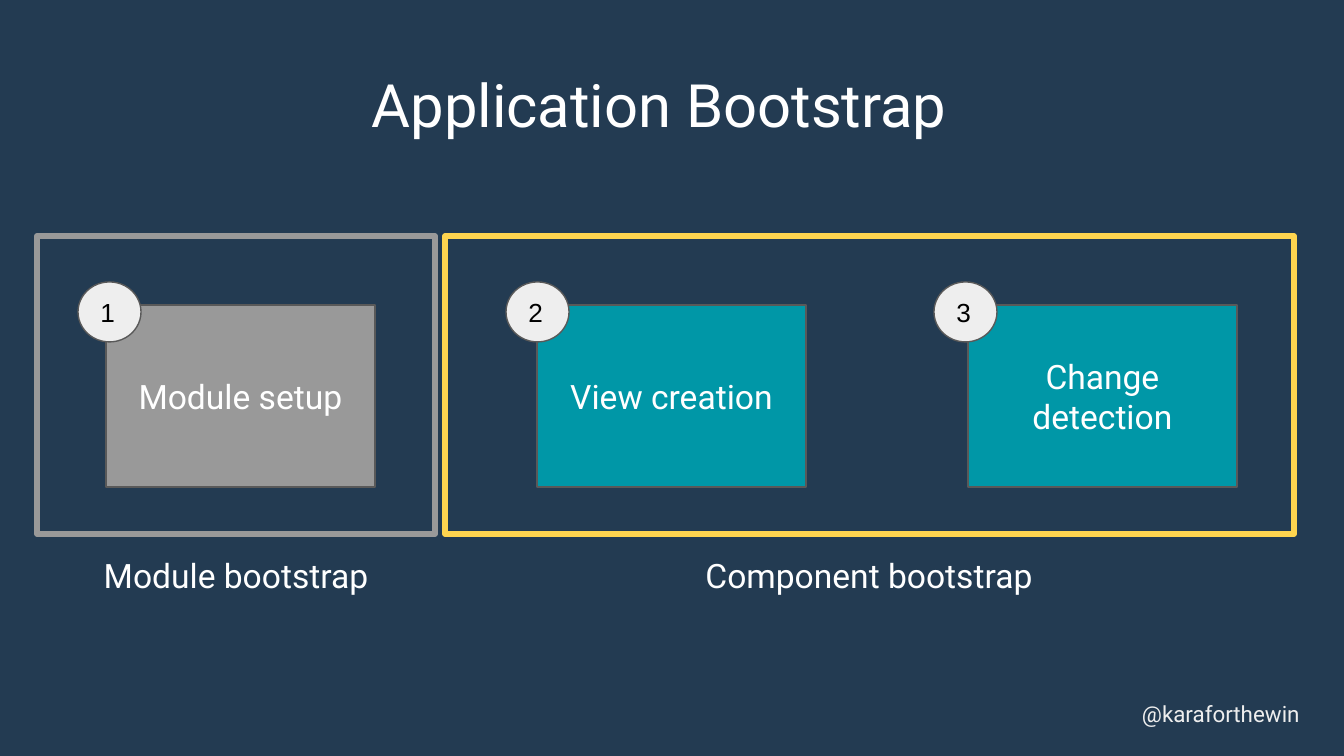
from dataclasses import dataclass

from pptx import Presentation
from pptx import util as u
from pptx.dml.color import RGBColor
from pptx.enum import shapes, text

PX = 914400 / 134.4  # EMU in one px


def px(length):
    return u.Emu(round(length * PX))


@dataclass(frozen=True)
class Theme:
    background: str = "233B52"
    white: str = "FFFFFF"
    black: str = "000000"
    pale: str = "EEEEEE"
    gray: str = "999999"
    outline: str = "595959"
    teal: str = "0097A7"
    yellow: str = "FFD54F"
    font: str = "Roboto"
    number_font: str = "Arial"
    title_size: int = 32
    body_size: int = 18
    number_size: int = 14
    handle_size: int = 12
    frame_width: float = 3
    outline_width: float = 0.75


class SlideBuilder:
    def __init__(self, slide, theme):
        self.slide = slide
        self.theme = theme
        fill = slide.background.fill
        fill.solid()
        fill.fore_color.rgb = RGBColor.from_string(theme.background)

    def add_words(self, shape, words, size, color=None, font=None,
                  align=text.PP_ALIGN.CENTER, anchor=text.MSO_ANCHOR.TOP):
        frame = shape.text_frame
        inset = u.Inches(0.1)
        frame_format = {
            "word_wrap": True, "vertical_anchor": anchor,
            "margin_left": inset, "margin_right": inset,
            "margin_top": inset, "margin_bottom": inset,
        }
        for name, value in frame_format.items():
            setattr(frame, name, value)
        paragraph = frame.paragraphs[0]
        paragraph.alignment = align
        run = paragraph.add_run()
        run.text = words
        for name, value in {"name": font or self.theme.font, "size": u.Pt(size)}.items():
            setattr(run.font, name, value)
        run.font.color.rgb = RGBColor.from_string(color or self.theme.white)

    def shape(self, kind, box, line, width, fill=None):
        shape = self.slide.shapes.add_shape(kind, *map(px, box))
        shape.shadow.inherit = False
        if fill:
            shape.fill.solid()
            shape.fill.fore_color.rgb = RGBColor.from_string(fill)
        else:
            shape.fill.background()
        shape.line.color.rgb = RGBColor.from_string(line)
        shape.line.width = u.Pt(width)
        return shape

    def frame(self, box, color):
        self.shape(shapes.MSO_SHAPE.RECTANGLE, box, color, self.theme.frame_width)

    def step(self, box, words, fill):
        theme = self.theme
        shape = self.shape(shapes.MSO_SHAPE.RECTANGLE, box, theme.outline,
                           theme.outline_width, fill)
        self.add_words(shape, words, theme.body_size, anchor=text.MSO_ANCHOR.MIDDLE)

    def badge(self, box, number):
        theme = self.theme
        shape = self.shape(shapes.MSO_SHAPE.FLOWCHART_CONNECTOR, box, theme.outline,
                           theme.outline_width, theme.pale)
        self.add_words(shape, str(number), theme.number_size, theme.black,
                       theme.number_font, text.PP_ALIGN.LEFT, text.MSO_ANCHOR.MIDDLE)

    def label(self, box, words, size, **style):
        self.add_words(self.slide.shapes.add_textbox(*map(px, box)), words, size, **style)


def main():
    theme = Theme()
    presentation = Presentation()
    presentation.slide_width, presentation.slide_height = px(1344), px(756)
    builder = SlideBuilder(presentation.slides.add_slide(presentation.slide_layouts[6]), theme)

    # Handle in the footer
    builder.label((1025, 687, 288, 42), "@karaforthewin", theme.handle_size,
                  color=theme.pale, align=text.PP_ALIGN.RIGHT)

    # Frames around the two phases
    builder.frame((445, 236, 849, 298), theme.yellow)
    builder.frame((37, 236, 398, 298), theme.gray)

    # Steps, then their numbers on top
    steps = [("Module setup", theme.gray), ("View creation", theme.teal),
             ("Change detection", theme.teal)]
    for index, (words, fill) in enumerate(steps):
        builder.step((106 + 431 * index, 305, 269, 182), words, fill)
    for index in range(len(steps)):
        builder.badge((78 + 428 * index, 282, 63, 60), index + 1)

    # Phase names
    for left, words in [(52, "Module bootstrap"), (685, "Component bootstrap")]:
        builder.label((left, 542, 368, 60), words, theme.body_size)

    # Title
    builder.label((351, 54, 617, 83), "Application Bootstrap", theme.title_size)

    presentation.save("out.pptx")


if __name__ == "__main__":
    main()
